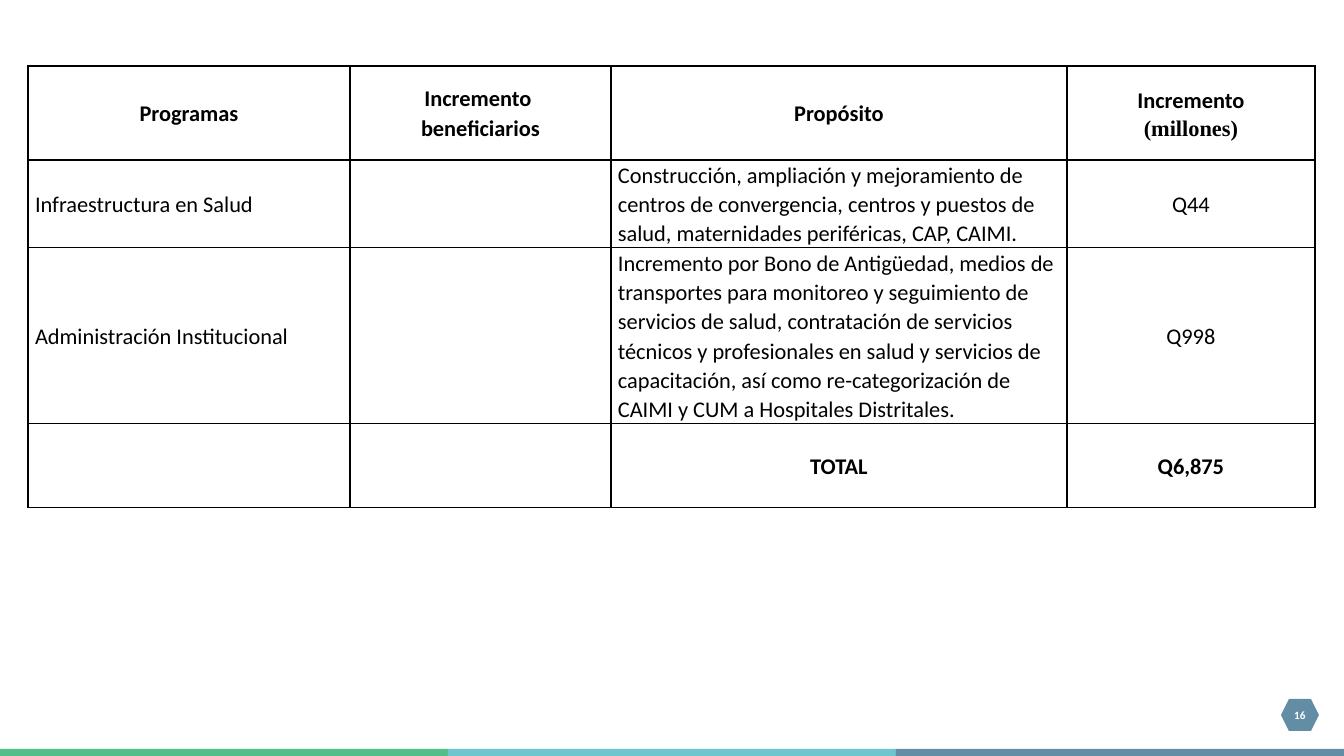
"""Slide with the health programme budget increases and their total."""
from lxml import etree
from pptx import Presentation
from pptx.dml.color import RGBColor
from pptx.enum.shapes import MSO_SHAPE as Shape
from pptx.enum.text import MSO_ANCHOR as Anchor, PP_ALIGN as Align
from pptx.oxml.ns import qn
from pptx.util import Pt

COLORS = {"green": "52BF8A", "aqua": "6DC6CD", "steel": "638CA5",
          "black": "000000", "white": "FFFFFF"}
SLIDE_WIDTH, SLIDE_HEIGHT = 1344, 756


def px(length):
    return round(length * 914400 / 100.8)


def add_block(kind, left, top, width, height, color):
    block = page.shapes.add_shape(kind, px(left), px(top), px(width), px(height))
    block.shadow.inherit = False
    block.fill.solid()
    block.fill.fore_color.rgb = RGBColor.from_string(COLORS[color])
    block.line.fill.background()
    return block


deck = Presentation()
deck.slide_width, deck.slide_height = px(SLIDE_WIDTH), px(SLIDE_HEIGHT)
page = deck.slides.add_slide(deck.slide_layouts[6])

bar_width = SLIDE_WIDTH // 3
for index, color in enumerate(("green", "aqua", "steel")):
    add_block(Shape.RECTANGLE, index * bar_width, 749, bar_width, 7, color)

badge = add_block(Shape.HEXAGON, 1281, 699, 38, 32, "steel")
frame = badge.text_frame
frame.margin_left = frame.margin_right = frame.margin_top = frame.margin_bottom = 0
frame.vertical_anchor = Anchor.MIDDLE
frame.word_wrap = False
frame.text = "16"
para = frame.paragraphs[0]
para.alignment = Align.CENTER
font = para.runs[0].font
font.name, font.size, font.bold = "Calibri", Pt(8), True
font.color.rgb = RGBColor.from_string(COLORS["white"])

column_widths = [322, 261, 456, 248]
row_heights = [94, 87, 176, 84]
rows = [
    ["Programas", "Incremento \nbeneficiarios", "Propósito", "Incremento\n(millones)"],
    ["Infraestructura en Salud", "",
     "Construcción, ampliación y mejoramiento de centros de convergencia, centros y "
     "puestos de salud, maternidades periféricas, CAP, CAIMI.", "Q44"],
    ["Administración Institucional", "",
     "Incremento por Bono de Antigüedad, medios de transportes para monitoreo y "
     "seguimiento de servicios de salud, contratación de servicios técnicos y "
     "profesionales en salud y servicios de capacitación, así como re-categorización "
     "de CAIMI y CUM a Hospitales Distritales.", "Q998"],
    ["", "", "TOTAL", "Q6,875"],
]
table = page.shapes.add_table(
    len(rows), len(column_widths), px(28), px(66),
    px(sum(column_widths)), px(sum(row_heights))).table
table.first_row = table.horz_banding = False
for column, width in zip(table.columns, column_widths):
    column.width = px(width)
for row, height in zip(table.rows, row_heights):
    row.height = px(height)

for row_index, texts in enumerate(rows):
    strong = row_index in (0, len(rows) - 1)
    for column_index, text in enumerate(texts):
        cell = table.cell(row_index, column_index)
        cell.margin_left = cell.margin_right = px(7)
        cell.margin_top = cell.margin_bottom = 0
        cell.vertical_anchor = Anchor.MIDDLE
        properties = cell._tc.get_or_add_tcPr()
        for side in ("a:lnL", "a:lnR", "a:lnT", "a:lnB"):
            border = etree.SubElement(properties, qn(side), w=str(Pt(1)))
            paint = etree.SubElement(border, qn("a:solidFill"))
            etree.SubElement(paint, qn("a:srgbClr"), val=COLORS["black"])
        cell.fill.background()
        cell.text_frame.text = text
        for para in cell.text_frame.paragraphs:
            para.alignment = Align.CENTER if strong or column_index == 3 else Align.LEFT
            para.line_spacing = 1.07
            for span in para.runs:
                font = span.font
                font.name = "Times New Roman" if span.text == "(millones)" else "Calibri"
                font.size, font.bold = Pt(16), strong
                font.color.rgb = RGBColor.from_string(COLORS["black"])

deck.save("out.pptx")
